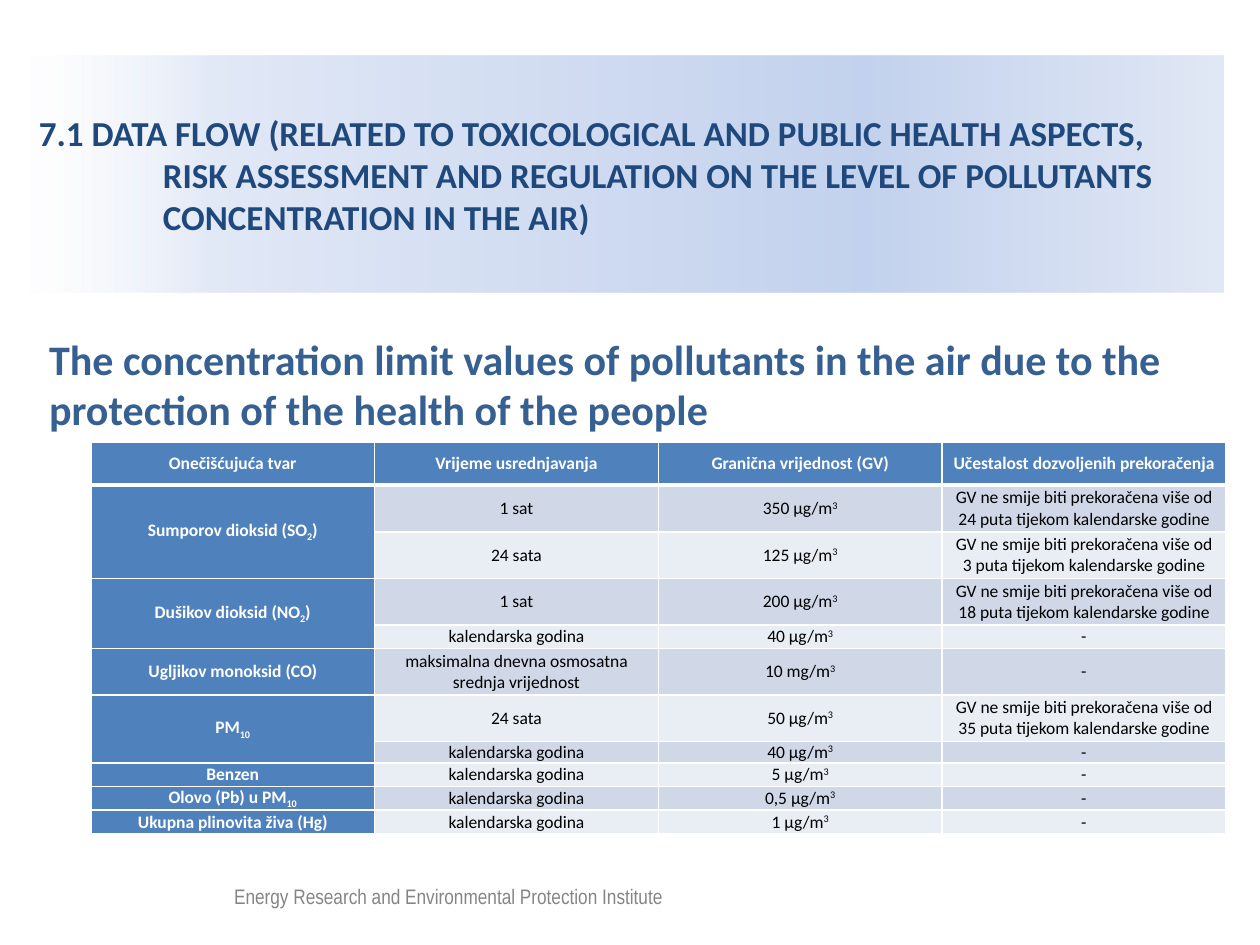
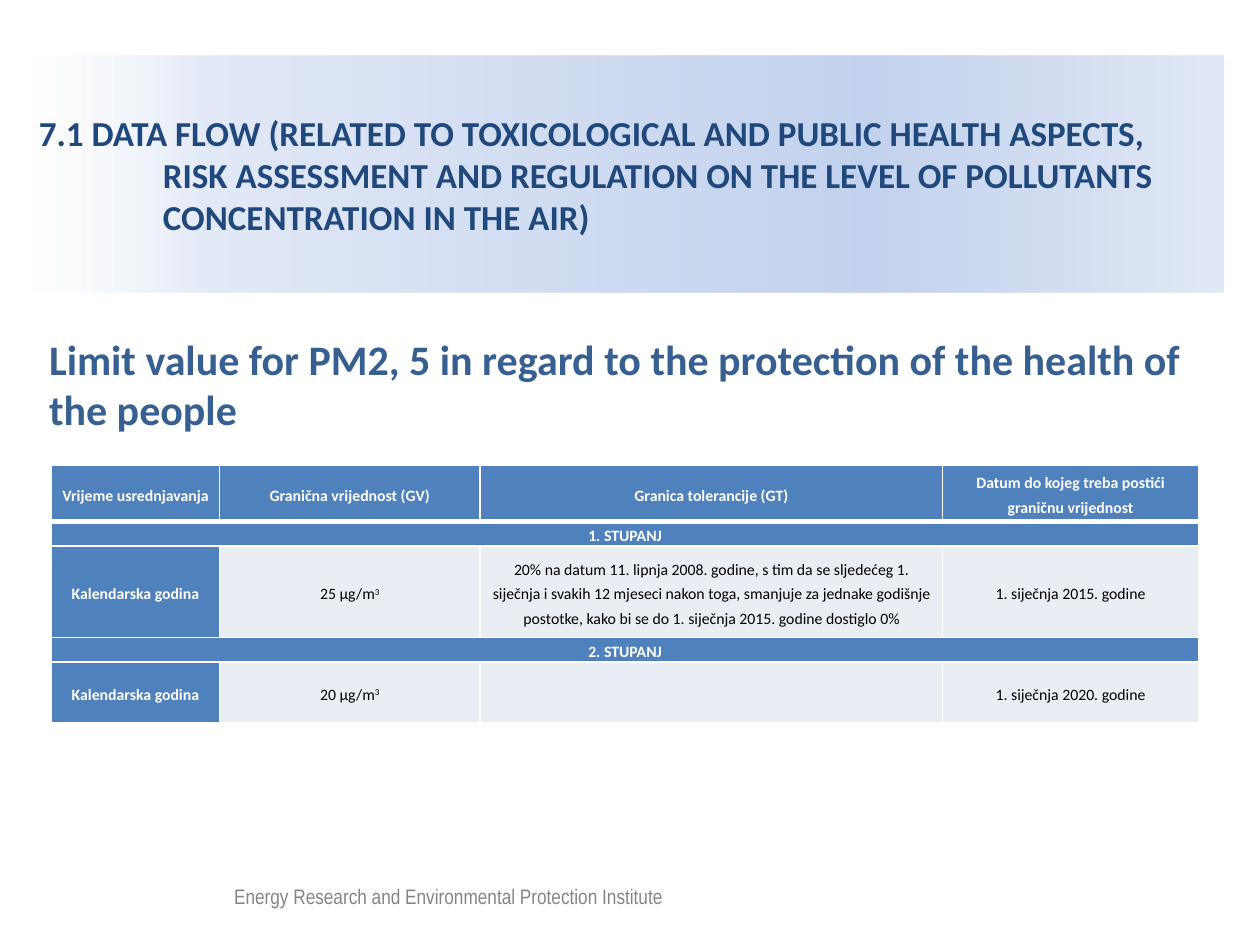
from lxml import etree
from pptx import Presentation
from pptx.dml.color import RGBColor
from pptx.enum.shapes import MSO_SHAPE
from pptx.enum.text import MSO_ANCHOR, MSO_AUTO_SIZE, PP_ALIGN
from pptx.oxml.ns import qn
from pptx.util import Cm, Pt

RECTANGLE = MSO_SHAPE.RECTANGLE
MIDDLE = MSO_ANCHOR.MIDDLE
LEFT, CENTER = PP_ALIGN.LEFT, PP_ALIGN.CENTER
NO_FIT, GROW = MSO_AUTO_SIZE.NONE, MSO_AUTO_SIZE.SHAPE_TO_FIT_TEXT
TITLE_ONLY = 5

WHITE, BLACK = "FFFFFF", "000000"
NAVY, STEEL = "1F497D", "376092"
HEADER_BLUE, BAND_DARK, BAND_LIGHT = "4F81BD", "D0D8E8", "E9EDF4"
VEIL_ALPHA = 52
# position %, colour, opacity %
BANNER_STOPS = [(0, WHITE, VEIL_ALPHA), (16, "E1E8F6", 100),
                (70, "C2D1ED", 100), (100, "E1E8F5", 100)]

# left, top, width, height in cm
BANNER_BOX = (0.53, 1.12, 24.13, 4.78)
HEADING_BOX = (0.74, 6.6, 23.95, 2.31)
FOOTER_BOX = (1.04, 17.6, 14.25, 1.22)

CHAPTER = ("7.1 DATA FLOW (RELATED TO TOXICOLOGICAL AND PUBLIC HEALTH ASPECTS, "
           "RISK ASSESSMENT AND REGULATION ON THE LEVEL OF POLLUTANTS "
           "CONCENTRATION IN THE AIR)")
INSTITUTE = "Energy Research and Environmental Protection Institute"


def exceedance(times):
    return f"GV ne smije biti prekoračena više od {times} puta tijekom kalendarske godine"


# Text between bars is lowered in label cells and raised in value cells.
YEAR = "kalendarska godina"
POLLUTANT_LIMITS = [
    ("Onečišćujuća tvar", "Vrijeme usrednjavanja", "Granična vrijednost (GV)",
     "Učestalost dozvoljenih prekoračenja"),
    ("Sumporov dioksid (SO|2|)", "1 sat", "350 µg/m|3|", exceedance(24)),
    (None, "24 sata", "125 µg/m|3|", exceedance(3)),
    ("Dušikov dioksid (NO|2|)", "1 sat", "200 µg/m|3|", exceedance(18)),
    (None, YEAR, "40 µg/m|3|", "-"),
    ("Ugljikov monoksid (CO)", "maksimalna dnevna osmosatna srednja vrijednost",
     "10 mg/m|3|", "-"),
    ("PM|10|", "24 sata", "50 µg/m|3|", exceedance(35)),
    (None, YEAR, "40 µg/m|3|", "-"),
    ("Benzen", YEAR, "5 µg/m|3|", "-"),
    ("Olovo (Pb) u PM|10|", YEAR, "0,5 µg/m|3|", "-"),
    ("Ukupna plinovita živa (Hg)", YEAR, "1 µg/m|3|", "-"),
]
PM_LIMITS = [
    ("Vrijeme usrednjavanja", "Granična vrijednost (GV)", "Granica tolerancije (GT)",
     "Datum do kojeg treba postići graničnu vrijednost"),
    ("1. STUPANJ", None, None, None),
    ("Kalendarska godina", "25 µg/m|3|",
     "20% na datum 11. lipnja 2008. godine, s tim da se sljedećeg 1. siječnja i "
     "svakih 12 mjeseci nakon toga, smanjuje za jednake godišnje postotke, kako bi "
     "se do 1. siječnja 2015. godine dostiglo 0%", "1. siječnja 2015. godine"),
    ("2. STUPANJ", None, None, None),
    ("Kalendarska godina", "20 µg/m|3|", "", "1. siječnja 2020. godine"),
]


def rgb(color):
    return RGBColor.from_string(color)


def style_font(font, size, color, bold=False, name="Calibri"):
    font.size, font.bold, font.name = Pt(size), bold, name
    font.color.rgb = rgb(color)


def add_color(parent, color, alpha=100):
    clr = etree.SubElement(parent, qn("a:srgbClr"), val=color)
    if alpha < 100:
        etree.SubElement(clr, qn("a:alpha"), val=str(alpha * 1000))


def add_banner(slide, box):
    title = slide.shapes.title
    title.left, title.top, title.width, title.height = map(Cm, box)
    title.fill.gradient()
    title.fill.gradient_angle = 0
    stops = title._element.spPr.find(qn("a:gradFill")).find(qn("a:gsLst"))
    for stop in list(stops):
        stops.remove(stop)
    for position, color, alpha in BANNER_STOPS:
        add_color(etree.SubElement(stops, qn("a:gs"), pos=str(position * 1000)),
                  color, alpha)

    frame = title.text_frame
    frame.text = CHAPTER
    frame.auto_size, frame.vertical_anchor = NO_FIT, MIDDLE
    paragraph = frame.paragraphs[0]
    paragraph.alignment = LEFT
    hanging = Cm(2.5)
    properties = paragraph._p.get_or_add_pPr()
    properties.set("marL", str(hanging))
    properties.set("indent", str(-hanging))
    style_font(paragraph.runs[0].font, 20, NAVY, bold=True)


def add_text(shapes, box, text, wrap, **font):
    frame = shapes.add_textbox(*map(Cm, box)).text_frame
    frame.text = text
    frame.word_wrap, frame.auto_size = wrap, GROW
    style_font(frame.paragraphs[0].runs[0].font, **font)


def add_footer(slide, box):
    """Place the institute's name under a half-transparent white veil."""
    left, top, width, height = box
    group = slide.shapes.add_group_shape()
    add_text(group.shapes, (left + 3.43, top + 0.08, 9.25, 0.76), INSTITUTE,
             wrap=False, size=12, color=BLACK, name="Arial Narrow")
    veil = group.shapes.add_shape(RECTANGLE, *map(Cm, box))
    veil.shadow.inherit = False
    veil.line.fill.background()
    veil.fill.solid()
    veil.fill.fore_color.rgb = rgb(WHITE)
    color = veil._element.spPr.find(qn("a:solidFill"))[0]
    etree.SubElement(color, qn("a:alpha"), val=str(VEIL_ALPHA * 1000))


def set_borders(cell, row):
    """Draw thin white borders, with a thick one below the header row."""
    thick_side = {0: "B", 1: "T"}.get(row)
    properties = cell._tc.get_or_add_tcPr()
    for side in "LRTB":
        width = Pt(3 if side == thick_side else 1)
        line = etree.SubElement(properties, qn(f"a:ln{side}"), w=str(width))
        add_color(etree.SubElement(line, qn("a:solidFill")), WHITE)


def fill_cell(cell, text, is_label, size, line_spacing):
    cell.vertical_anchor = MIDDLE
    cell.margin_left = cell.margin_right = Cm(0.18)
    cell.margin_top = cell.margin_bottom = 0
    paragraph = cell.text_frame.paragraphs[0]
    paragraph.alignment = CENTER
    if line_spacing:
        paragraph.line_spacing = Pt(line_spacing)
    for index, part in enumerate(text.split("|")):
        if not part:
            continue
        run = paragraph.add_run()
        run.text = part
        style_font(run.font, size, WHITE if is_label else BLACK, bold=is_label)
        if index % 2:
            run.font._element.set("baseline", "-25000" if is_label else "30000")


def add_limits_table(slide, origin, widths, heights, rows, size, line_spacing=None):
    """Build a table; None extends a cell down (first column) or across (others)."""
    table = slide.shapes.add_table(
        len(rows), len(widths), *map(Cm, (*origin, sum(widths), sum(heights)))).table
    table.horz_banding = False
    for column, width in zip(table.columns, widths):
        column.width = Cm(width)
    for r, (texts, height) in enumerate(zip(rows, heights)):
        table.rows[r].height = Cm(height)
        is_section = texts[1] is None
        for c, text in enumerate(texts):
            cell = table.cell(r, c)
            is_label = r == 0 or c == 0 or is_section
            set_borders(cell, r)
            cell.fill.solid()
            band = BAND_DARK if r % 2 else BAND_LIGHT
            cell.fill.fore_color.rgb = rgb(HEADER_BLUE if is_label else band)
            fill_cell(cell, text or "", is_label, size, line_spacing)
        if is_section:
            table.cell(r, 0).merge(table.cell(r, len(widths) - 1))
        elif texts[0] is None:
            table.cell(r - 1, 0).merge(table.cell(r, 0))


def add_limits_slide(prs, heading, **table):
    slide = prs.slides.add_slide(prs.slide_layouts[TITLE_ONLY])
    add_banner(slide, BANNER_BOX)
    add_footer(slide, FOOTER_BOX)
    add_text(slide.shapes, HEADING_BOX, heading, wrap=True,
             size=24, color=STEEL, bold=True)
    add_limits_table(slide, **table)


def main():
    prs = Presentation()
    prs.slide_width, prs.slide_height = Cm(25.4), Cm(19.05)
    add_limits_slide(
        prs,
        "The concentration limit values of pollutants in the air due to the "
        "protection of the health of the people",
        origin=(1.83, 8.92), widths=[5.72] * 4,
        heights=[0.86, 0.94, 0.94, 0.94, 0.47, 0.94, 0.94, 0.43, 0.47, 0.48, 0.48],
        rows=POLLUTANT_LIMITS, size=10)
    add_limits_slide(
        prs,
        "Limit value for PM2, 5 in regard to the protection of the health of the people",
        origin=(1.04, 9.37), widths=[3.38, 5.26, 9.32, 5.16],
        heights=[1.14, 0.49, 1.85, 0.49, 1.22],
        rows=PM_LIMITS, size=9, line_spacing=14)
    prs.save("out.pptx")


if __name__ == "__main__":
    main()
